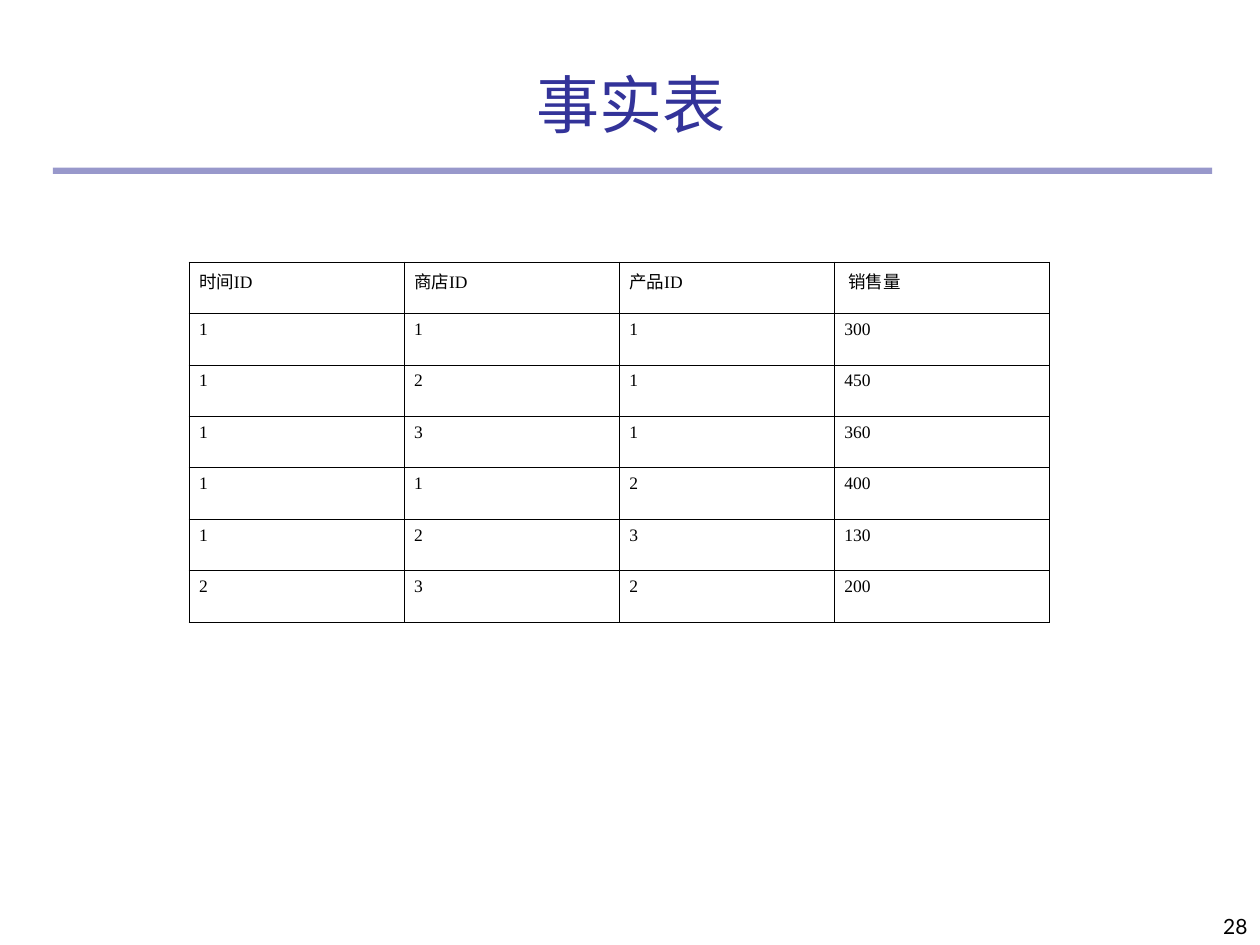
from dataclasses import dataclass

from lxml import etree
from pptx import Presentation
from pptx import util as u
from pptx.dml.color import RGBColor
from pptx.enum import shapes, text
from pptx.oxml import ns


@dataclass(frozen=True)
class Theme:
    accent: str = "333399"
    ink: str = "000000"
    heading_font: str = "Lato"
    table_font: str = "Times New Roman"
    title_size: int = 36
    number_size: int = 12
    table_size: int = 10
    border_width: float = 0.45
    rule_opacity: int = 50


@dataclass(frozen=True)
class Box:
    left: float
    top: float
    width: float
    height: float

    def lengths(self) -> list[u.Length]:
        return [u.Inches(n) for n in (self.left, self.top, self.width, self.height)]


THEME = Theme()
TITLE_BOX = Box(0.42, 0.42, 9.17, 0.75)
RULE_BOX = Box(0.42, 1.33, 9.2, 0.05)
TABLE_BOX = Box(1.5, 2.08, 6.83, 2.86)
NUMBER_BOX = Box(7.92, 7, 2.08, 0.5)

FACTS = [
    ("时间ID", "商店ID", "产品ID", " 销售量"),
    (1, 1, 1, 300),
    (1, 2, 1, 450),
    (1, 3, 1, 360),
    (1, 1, 2, 400),
    (1, 2, 3, 130),
    (2, 3, 2, 200),
]


def write(frame, words: str, font: str, size: int, color: str, align) -> None:
    frame.text = words
    para = frame.paragraphs[0]
    para.alignment = align
    span = para.runs[0]
    span.font.name = font
    span.font.size = u.Pt(size)
    span.font.color.rgb = RGBColor.from_string(color)


def write_heading(shape, words: str, size: int, color: str, align) -> None:
    """Write one bottom-anchored line in the heading font."""
    frame = shape.text_frame
    frame.word_wrap = True
    frame.auto_size = text.MSO_AUTO_SIZE.NONE
    frame.vertical_anchor = text.MSO_ANCHOR.BOTTOM
    write(frame, words, THEME.heading_font, size, color, align)


def add_title(page, words: str) -> None:
    title = page.shapes.title
    title.left, title.top, title.width, title.height = TITLE_BOX.lengths()
    write_heading(title, words, THEME.title_size, THEME.accent, text.PP_ALIGN.CENTER)


def add_rule(page) -> None:
    rule = page.shapes.add_shape(shapes.MSO_SHAPE.RECTANGLE, *RULE_BOX.lengths())
    rule.shadow.inherit = False
    rule.line.fill.background()
    rule.fill.solid()
    rule.fill.fore_color.rgb = RGBColor.from_string(THEME.accent)
    color = rule.fill._xPr.find(".//" + ns.qn("a:srgbClr"))
    etree.SubElement(color, ns.qn("a:alpha"), val=str(THEME.rule_opacity * 1000))


def add_borders(cell) -> None:
    """Outline a cell; the lines must precede its fill in the XML."""
    properties = cell._tc.get_or_add_tcPr()
    for index, side in enumerate(("L", "R", "T", "B")):
        line = etree.Element(ns.qn(f"a:ln{side}"), w=str(u.Pt(THEME.border_width)))
        fill = etree.SubElement(line, ns.qn("a:solidFill"))
        etree.SubElement(fill, ns.qn("a:srgbClr"), val=THEME.ink)
        properties.insert(index, line)


def add_fact_table(page, rows: list[tuple]) -> None:
    frame = page.shapes.add_table(len(rows), len(rows[0]), *TABLE_BOX.lengths())
    table = frame.table
    table.first_row = table.horz_banding = False
    for row, values in zip(table.rows, rows):
        for cell, value in zip(row.cells, values):
            cell.margin_left = cell.margin_right = u.Inches(0.08)
            cell.margin_top = cell.margin_bottom = u.Inches(0.05)
            cell.fill.background()
            add_borders(cell)
            write(cell.text_frame, str(value), THEME.table_font,
                  THEME.table_size, THEME.ink, text.PP_ALIGN.JUSTIFY)


def add_page_number(page, number: int) -> None:
    box = page.shapes.add_textbox(*NUMBER_BOX.lengths())
    write_heading(box, str(number), THEME.number_size, THEME.ink, text.PP_ALIGN.RIGHT)


def main() -> None:
    deck = Presentation()
    deck.slide_width, deck.slide_height = u.Inches(10), u.Inches(7.5)
    page = deck.slides.add_slide(deck.slide_layouts.get_by_name("Title Only"))
    add_rule(page)
    add_title(page, "事实表")
    add_fact_table(page, FACTS)
    add_page_number(page, 28)
    deck.save("out.pptx")


if __name__ == "__main__":
    main()
